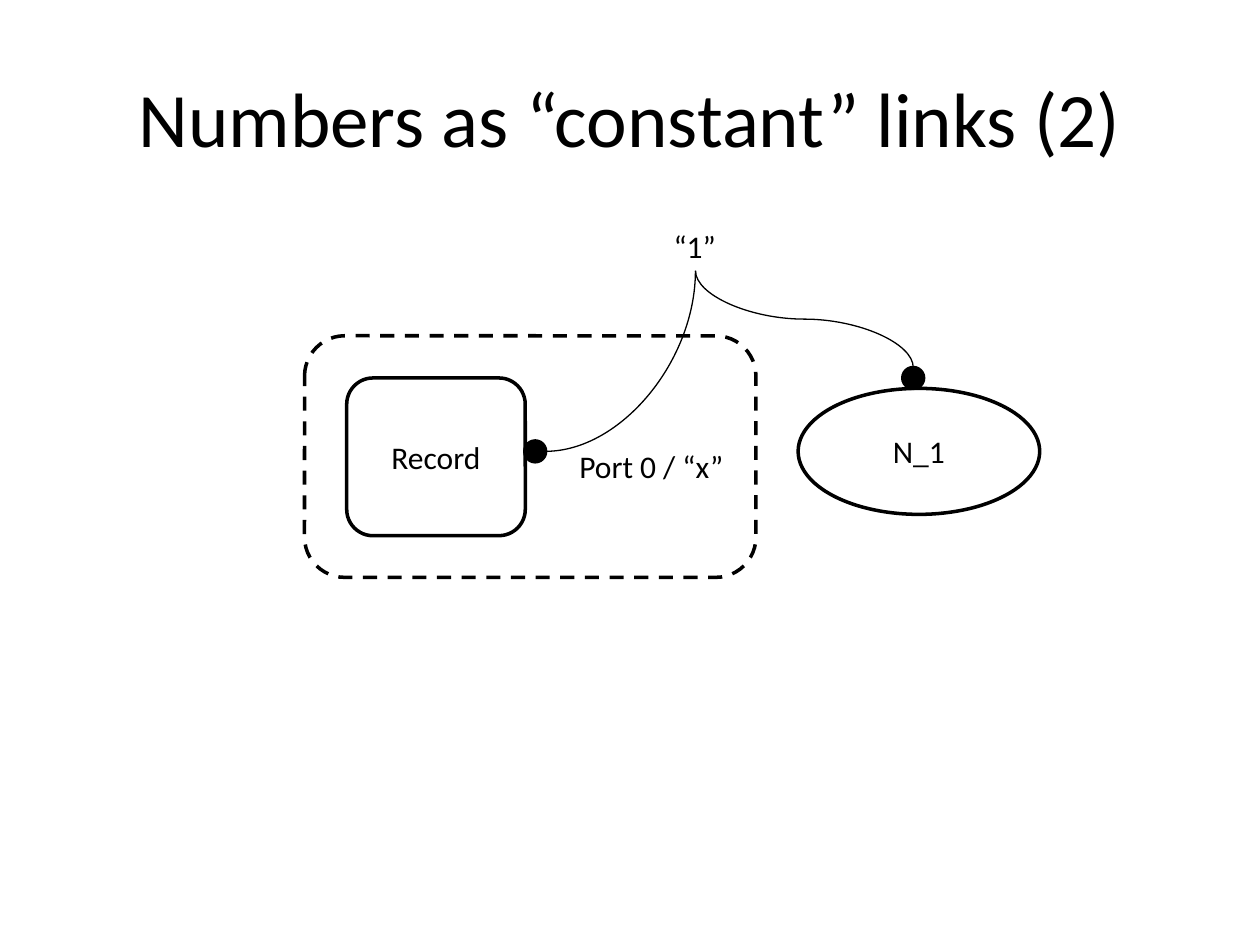
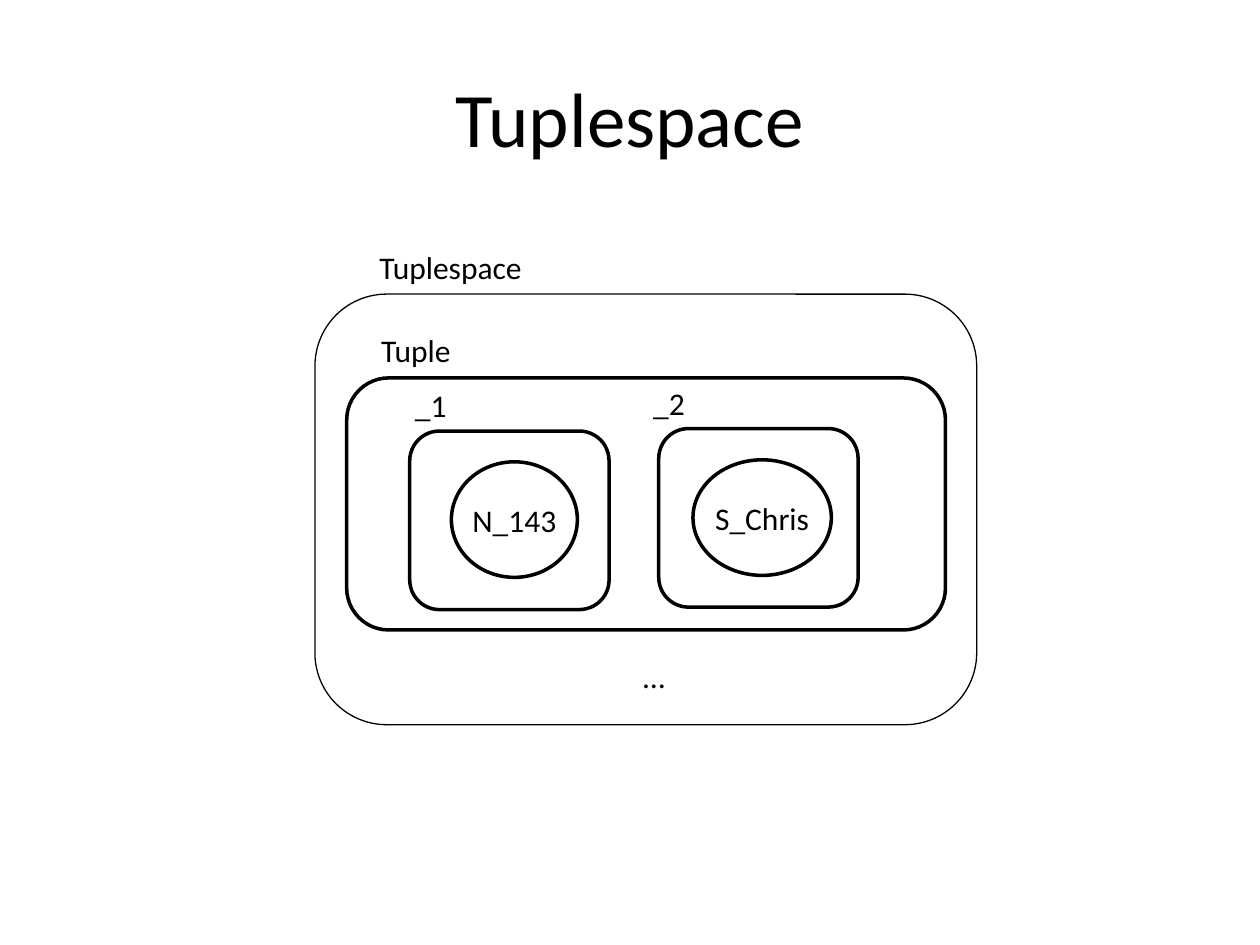
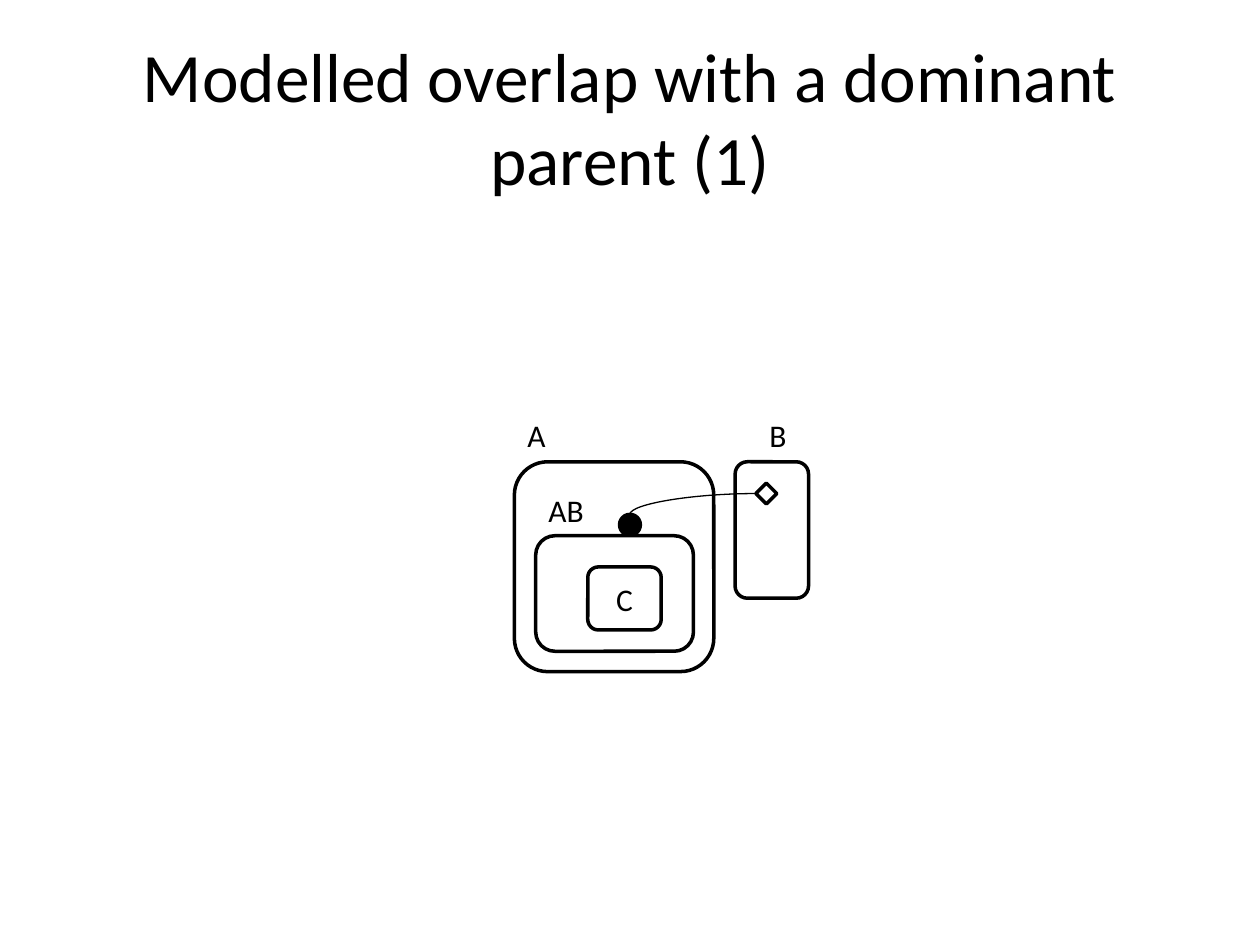
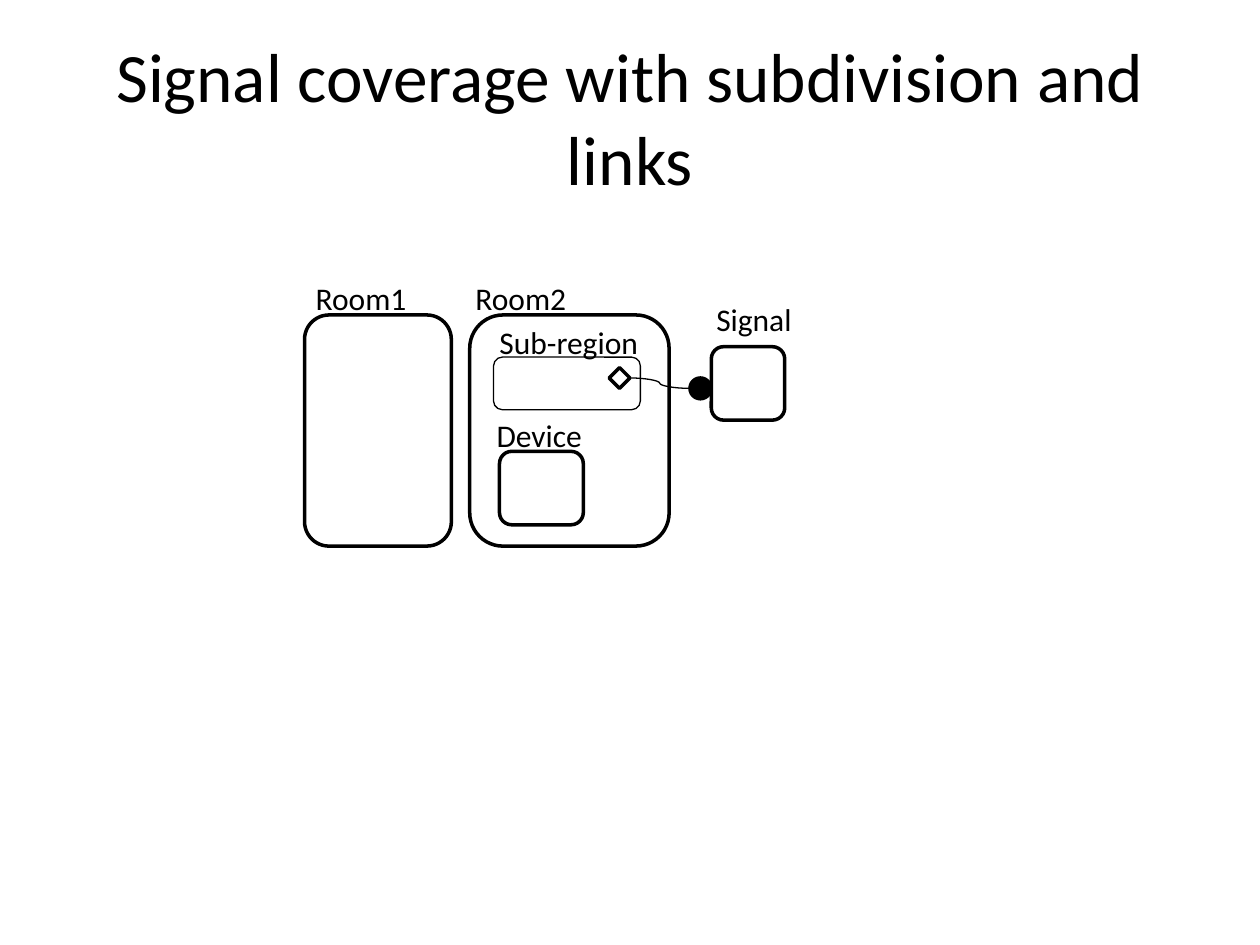
from dataclasses import dataclass

from lxml import etree
from pptx import Presentation
from pptx.dml.color import RGBColor
from pptx.enum.dml import MSO_LINE
from pptx.enum.shapes import MSO_CONNECTOR, MSO_SHAPE
from pptx.enum.text import MSO_ANCHOR, MSO_AUTO_SIZE, PP_ALIGN
from pptx.oxml.ns import qn
from pptx.util import Cm, Pt

ROUND = MSO_SHAPE.ROUNDED_RECTANGLE
OVAL = MSO_SHAPE.OVAL
DIAMOND = MSO_SHAPE.DIAMOND
CURVE = MSO_CONNECTOR.CURVE
DASH = MSO_LINE.DASH
MIDDLE = MSO_ANCHOR.MIDDLE
LEFT, CENTER = PP_ALIGN.LEFT, PP_ALIGN.CENTER


@dataclass(frozen=True)
class Theme:
    font: str = "Calibri"
    ink: RGBColor = RGBColor(0, 0, 0)
    paper: RGBColor = RGBColor(255, 255, 255)
    title: float = 44
    long_title: float = 39.6
    body: float = 18
    thick: float = 2
    thin: float = 0.75
    marker: float = 0.42
    label_height: float = 1.02


T = Theme()


def write(tf, text, size=T.body, align=CENTER):
    p = tf.paragraphs[0]
    p.alignment = align
    r = p.add_run()
    r.text = text
    r.font.name = T.font
    r.font.size = Pt(size)
    r.font.color.rgb = T.ink


def node(s, kind, x, y, w=T.marker, h=T.marker, text="", fill=T.paper, weight=T.thick, dash=None, inset=0.25):
    sp = s.shapes.add_shape(kind, Cm(x), Cm(y), Cm(w), Cm(h))
    sp.shadow.inherit = False
    if fill is None:
        sp.fill.background()
    else:
        sp.fill.solid()
        sp.fill.fore_color.rgb = fill
    sp.line.color.rgb = T.ink
    sp.line.width = Pt(weight)
    if dash:
        sp.line.dash_style = dash
    if text:
        tf = sp.text_frame
        tf.vertical_anchor = MIDDLE
        tf.margin_left = tf.margin_right = Cm(inset)
        write(tf, text)


prs = Presentation()
prs.slide_width = Cm(25.4)
prs.slide_height = Cm(19.05)

titles = [
    ("Numbers as “constant” links (2)", T.title),
    ("Tuplespace", T.title),
    ("Modelled overlap with a dominant parent (1)", T.long_title),
    ("Signal coverage with subdivision and links", T.long_title),
]
for text, size in titles:
    s = prs.slides.add_slide(prs.slide_layouts[5])
    title = s.shapes.title
    title.left, title.top, title.width, title.height = Cm(1.27), Cm(0.76), Cm(22.86), Cm(3.18)
    title.text_frame.vertical_anchor = MIDDLE
    write(title.text_frame, text, size=size)

numbers, tuples, overlap, signal = prs.slides

node(numbers, OVAL, 16.09, 7.83, 4.87, 2.54, "N_1")
node(numbers, ROUND, 6.99, 7.62, 3.6, 3.18, "Record")
node(numbers, OVAL, 10.58, 8.89, fill=T.ink)
node(numbers, OVAL, 18.2, 7.41, fill=T.ink)
node(numbers, ROUND, 6.14, 6.77, 9.1, 4.87, fill=None, dash=DASH)

node(tuples, ROUND, 6.99, 7.62, 12.07, 5.08)
node(tuples, ROUND, 8.26, 8.69, 4.02, 3.6)
node(tuples, OVAL, 9.1, 9.31, 2.54, 2.33, "N_143", inset=0)
node(tuples, ROUND, 13.28, 8.64, 4.02, 3.6)
node(tuples, OVAL, 13.97, 9.27, 2.79, 2.33, "S_Chris", inset=0)
node(tuples, ROUND, 6.35, 5.93, 13.34, 8.68, fill=None, weight=T.thin)

node(overlap, ROUND, 10.37, 9.31, 4.02, 4.23)
node(overlap, ROUND, 10.8, 10.8, 3.18, 2.33, fill=None)
node(overlap, ROUND, 11.85, 11.43, 1.48, 1.27, "C")
node(overlap, ROUND, 14.82, 9.31, 1.48, 2.75, fill=None)
node(overlap, OVAL, 12.49, 10.37, fill=T.ink)
node(overlap, DIAMOND, 15.24, 9.74, fill=None)

node(signal, ROUND, 6.14, 6.35, 2.96, 4.66)
node(signal, ROUND, 9.47, 6.35, 4.02, 4.66)
node(signal, ROUND, 10.07, 9.1, 1.69, 1.48)
node(signal, ROUND, 14.34, 6.99, 1.48, 1.48, fill=None)
node(signal, OVAL, 13.91, 7.62, fill=T.ink)
node(signal, DIAMOND, 12.28, 7.41, fill=None)
node(signal, ROUND, 9.95, 7.2, 2.96, 1.06, fill=None, weight=T.thin)

labels = [
    (numbers, "“1”", 13.33, 4.45, 1.37, LEFT),
    (numbers, "Port 0 / “x”", 11.43, 8.89, 3.45, LEFT),
    (tuples, "Tuple", 7.42, 6.55, 1.93, CENTER),
    (tuples, "_1", 8.1, 7.65, 1.17, CENTER),
    (tuples, "_2", 12.9, 7.62, 1.17, CENTER),
    (tuples, "Tuplespace", 7.37, 4.88, 3.43, CENTER),
    (tuples, "…", 12.7, 13.12, 0.97, CENTER),
    (overlap, "A", 10.37, 8.26, 0.89, CENTER),
    (overlap, "B", 15.24, 8.26, 0.89, CENTER),
    (overlap, "AB", 10.8, 9.78, 1.22, CENTER),
    (signal, "Room1", 6.1, 5.51, 2.36, CENTER),
    (signal, "Room2", 9.32, 5.51, 2.36, CENTER),
    (signal, "Signal", 14.17, 5.93, 2.06, CENTER),
    (signal, "Device", 9.74, 8.26, 2.26, CENTER),
    (signal, "Sub-region", 9.79, 6.38, 3.35, CENTER),
]
for s, text, x, y, w, align in labels:
    tf = s.shapes.add_textbox(Cm(x), Cm(y), Cm(w), Cm(T.label_height)).text_frame
    tf.word_wrap = False
    tf.auto_size = MSO_AUTO_SIZE.SHAPE_TO_FIT_TEXT
    write(tf, text, align=align)

links = [
    (numbers, "curvedConnector2", 11, 9.1, 14.02, 5.46, 0),
    (numbers, "curvedConnector3", 15.24, 8.63, 17.19, 4.24, 270),
    (overlap, "curvedConnector2", 15.24, 9.95, 12.7, 10.37, 0),
    (signal, "curvedConnector3", 12.7, 7.62, 13.9, 7.83, 0),
]
for s, preset, x1, y1, x2, y2, turn in links:
    link = s.shapes.add_connector(CURVE, Cm(x1), Cm(y1), Cm(x2), Cm(y2))
    link.line.color.rgb = T.ink
    link.line.width = Pt(T.thin)
    props = link._element.spPr
    props.find(qn("a:prstGeom")).set("prst", preset)
    if turn:
        props.find(qn("a:xfrm")).set("rot", str(turn * 60000))
    etree.SubElement(props, qn("a:effectLst"))

prs.save("out.pptx")
